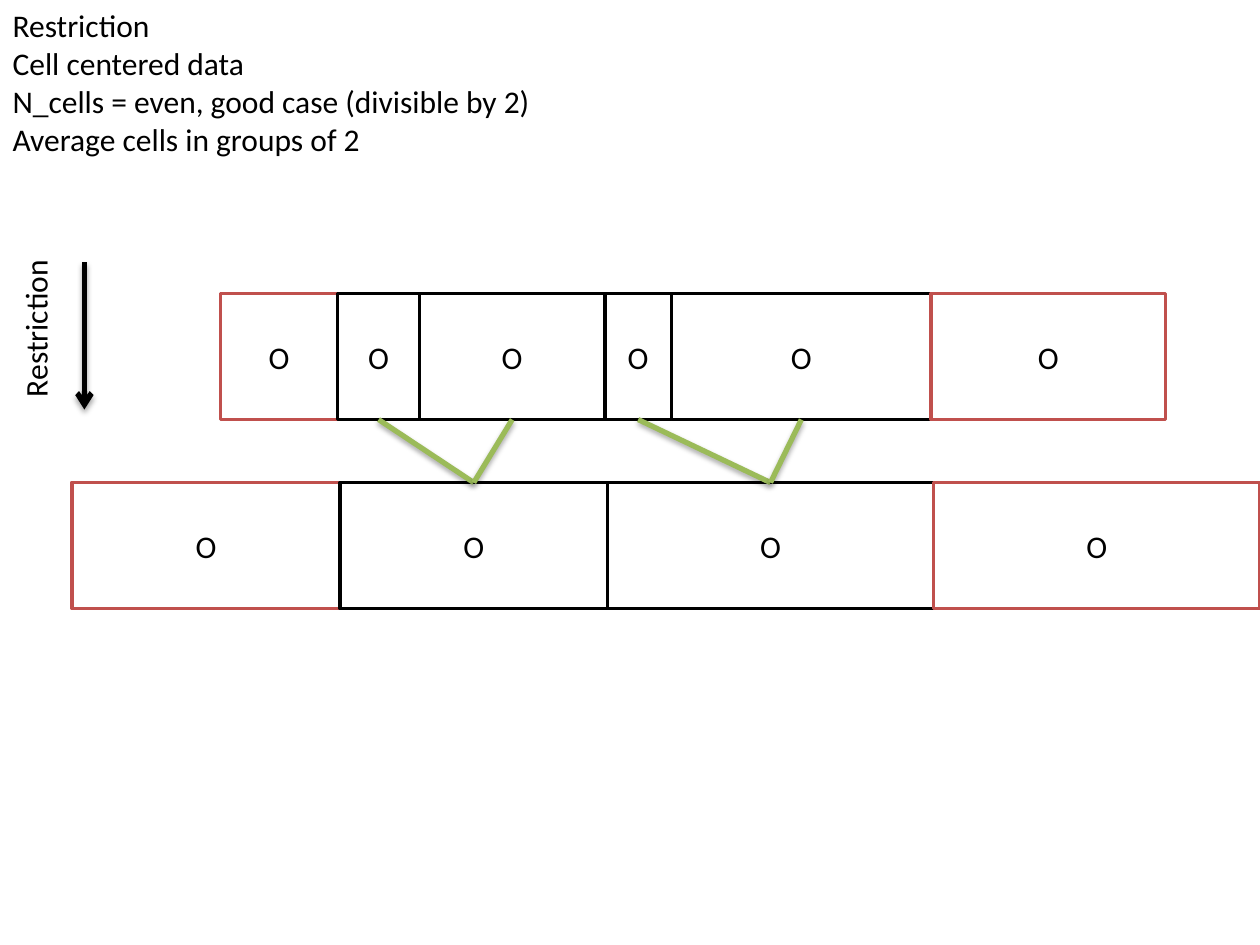
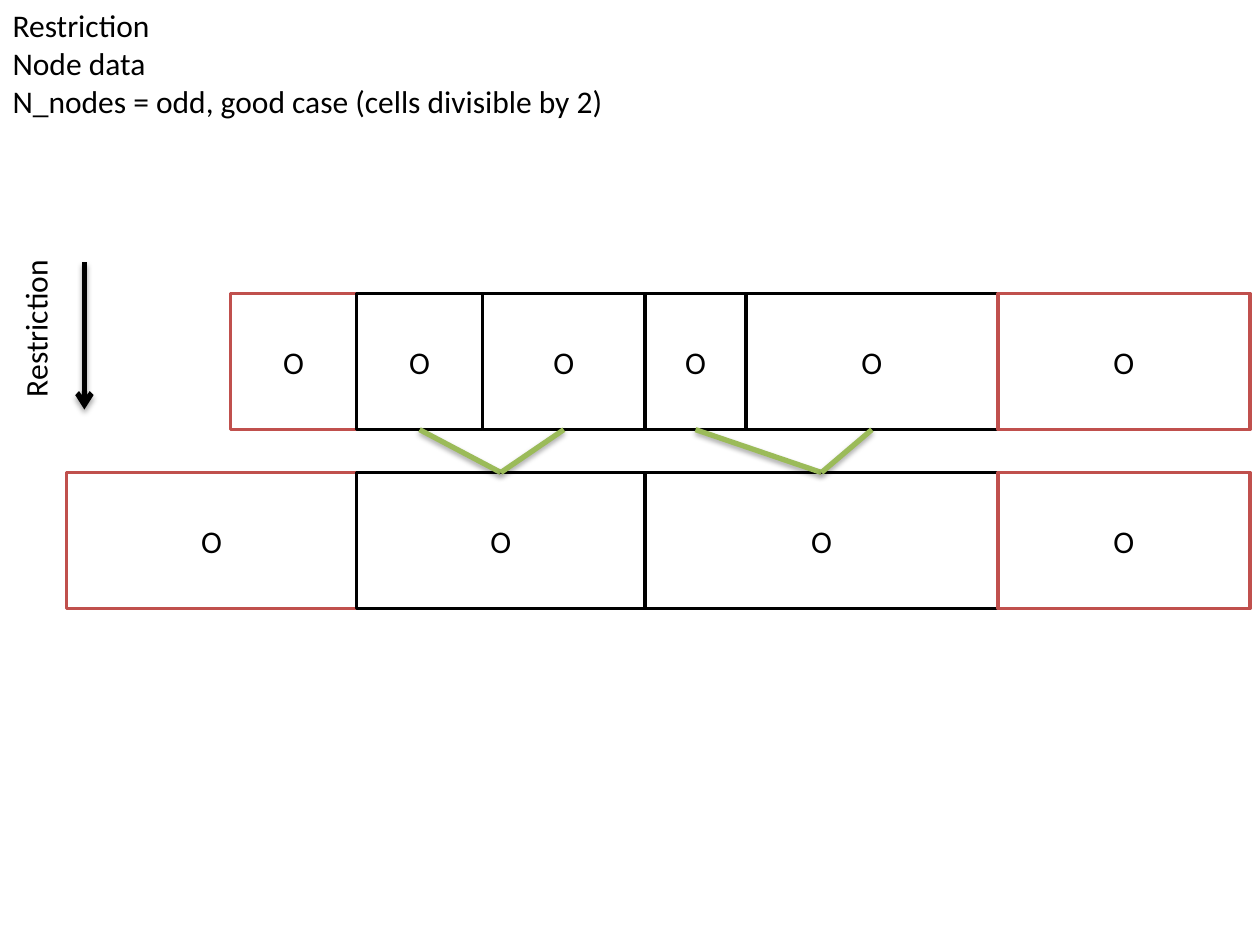
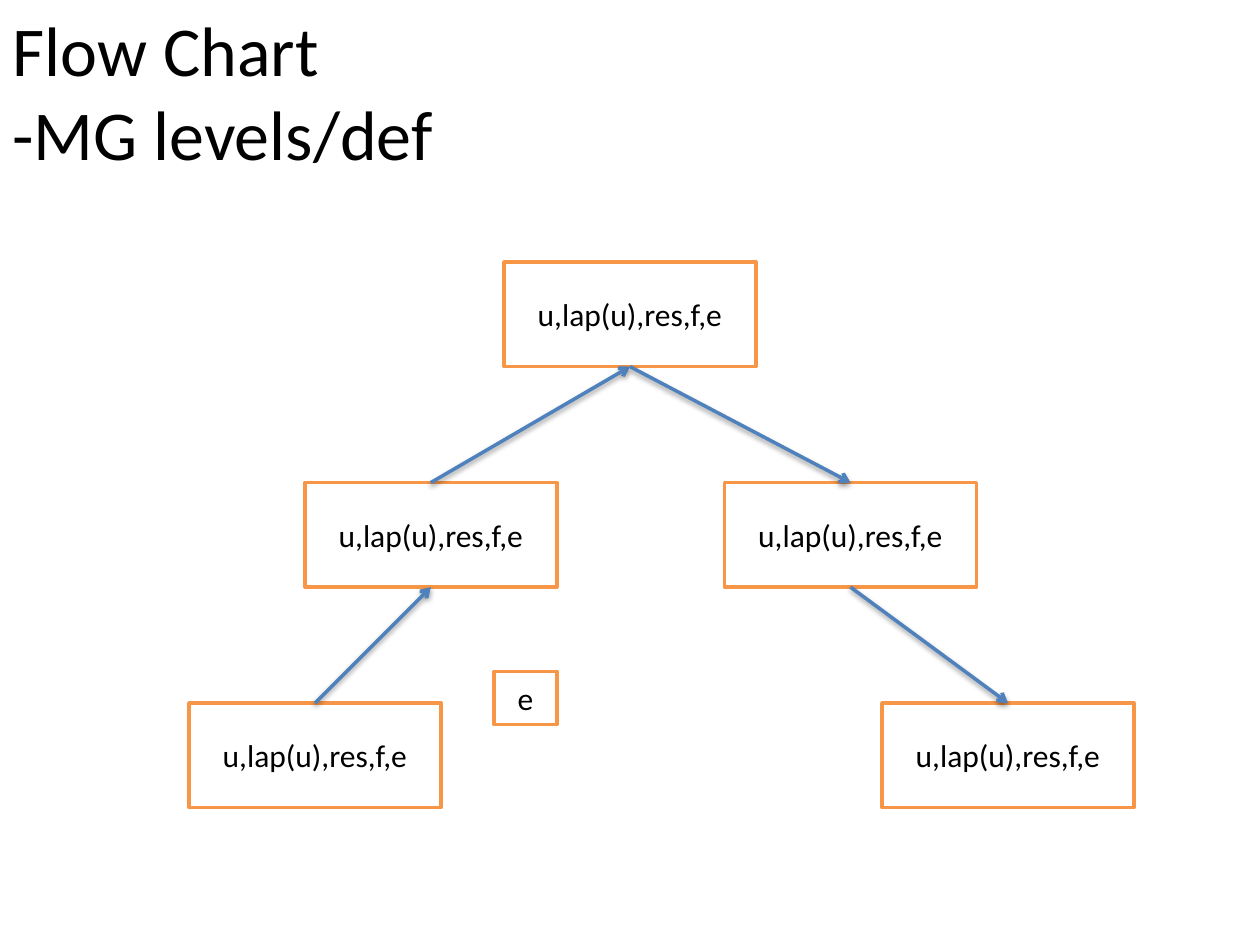
"""Builds three slides on multigrid restriction and its flow chart."""
import itertools
from dataclasses import dataclass

import pptx
import pptx.dml.color
import pptx.enum.shapes
import pptx.enum.text
import pptx.oxml
import pptx.util
from pptx.util import Inches

ANCHOR = pptx.enum.text.MSO_ANCHOR
ALIGN = pptx.enum.text.PP_ALIGN
TOP, BOTTOM = 0, 2  # connection sites of a rectangle
DRAWING_NAMESPACE = "http://schemas.openxmlformats.org/drawingml/2006/main"


@dataclass(frozen=True)
class Theme:
    """Colours, font and sizes in points shared by all slides."""
    font: str = "Calibri"
    ink: str = "000000"
    paper: str = "FFFFFF"
    ghost: str = "C0504D"
    average: str = "9BBB59"
    node: str = "F79646"
    flow: str = "4F81BD"
    text_size: int = 18
    heading_size: int = 40
    outline: int = 2
    heavy_line: int = 3


@dataclass(frozen=True)
class Box:
    """A region of a slide, in inches."""
    left: float
    top: float
    width: float
    height: float

    def lengths(self):
        """Return the four measures as slide lengths."""
        return [Inches(value) for value in
                (self.left, self.top, self.width, self.height)]


THEME = Theme()


def color(value):
    """Turn a hex string into a colour."""
    return pptx.dml.color.RGBColor.from_string(value)


def set_attributes(target, values):
    """Set each attribute named in a dict of format values."""
    for name, value in values.items():
        setattr(target, name, value)


def write_text(shape, lines, size=THEME.text_size, align=ALIGN.LEFT,
               anchor=ANCHOR.TOP, wrap=True):
    """Fill a shape with one paragraph for each line."""
    frame = shape.text_frame
    set_attributes(frame, {
        "text": "\n".join(lines), "word_wrap": wrap,
        "vertical_anchor": anchor,
        "auto_size": pptx.enum.text.MSO_AUTO_SIZE.NONE})
    for paragraph in frame.paragraphs:
        paragraph.alignment = align
        set_attributes(paragraph.font, {
            "name": THEME.font, "size": pptx.util.Pt(size)})
        paragraph.font.color.rgb = color(THEME.ink)


def add_title(slide, box, lines, size=THEME.text_size, wrap=False):
    """Place the title placeholder in the box and fill it."""
    title = slide.shapes.title
    set_attributes(title, dict(zip(("left", "top", "width", "height"),
                                   box.lengths())))
    write_text(title, lines, size, wrap=wrap)


def add_cell(slide, box, text, outline):
    """Add an outlined rectangle with centred text."""
    cell = slide.shapes.add_shape(
        pptx.enum.shapes.MSO_SHAPE.RECTANGLE, *box.lengths())
    cell.shadow.inherit = False
    cell.fill.solid()
    cell.fill.fore_color.rgb = color(THEME.paper)
    cell.line.color.rgb = color(outline)
    cell.line.width = pptx.util.Pt(THEME.outline)
    write_text(cell, [text], align=ALIGN.CENTER, anchor=ANCHOR.MIDDLE)
    return cell


def add_line(slide, line_color, width, points=(0, 0, 0, 0), arrow=False,
             opacity=35, distance=1.8):
    """Add a straight line with a soft shadow and, if asked, an arrowhead."""
    line = slide.shapes.add_connector(
        pptx.enum.shapes.MSO_CONNECTOR.STRAIGHT,
        *[Inches(value) for value in points])
    line.line.color.rgb = color(line_color)
    line.line.width = pptx.util.Pt(width)
    if arrow:
        line.line._get_or_add_ln().append(pptx.oxml.parse_xml(
            f'<a:tailEnd xmlns:a="{DRAWING_NAMESPACE}" type="arrow"/>'))
    line._element.spPr.append(pptx.oxml.parse_xml(
        f'<a:effectLst xmlns:a="{DRAWING_NAMESPACE}">'
        f'<a:outerShdw blurRad="{pptx.util.Pt(3.1)}" '
        f'dist="{pptx.util.Pt(distance)}" dir="5400000" rotWithShape="0">'
        f'<a:srgbClr val="{THEME.ink}"><a:alpha val="{opacity * 1000}"/>'
        '</a:srgbClr></a:outerShdw></a:effectLst>'))
    return line


def join(line, start, start_site, end, end_site):
    """Attach both ends of a line to shapes."""
    line.begin_connect(start, start_site)
    line.end_connect(end, end_site)


def add_cell_row(slide, edges, top, height):
    """Add cells between the edges; the two outermost are ghost cells."""
    last = len(edges) - 2
    return [add_cell(slide, Box(left, top, right - left, height), "O",
                     THEME.ghost if index in (0, last) else THEME.ink)
            for index, (left, right) in enumerate(itertools.pairwise(edges))]


def add_direction(slide, box):
    """Add the upward-reading label with a down arrow at the right edge."""
    width, height = 1.3, 0.4
    label = slide.shapes.add_textbox(*Box(
        box.left + (height - width) / 2, box.top + (1.04 - height) / 2,
        width, height).lengths())
    label.rotation = 270
    write_text(label, ["Restriction"], wrap=False)
    right = box.left + box.width
    add_line(slide, THEME.ink, THEME.heavy_line,
             (right, box.top, right, box.top + box.height), arrow=True)


def add_restriction(slide, box, fine_edges, coarse_edges, row_height):
    """Add a fine row above a coarse row and link each pair to its average."""
    fine = add_cell_row(slide, fine_edges, box.top, row_height)
    coarse = add_cell_row(slide, coarse_edges,
                          box.top + box.height - row_height, row_height)
    for index, source in enumerate(fine[1:-1]):
        link = add_line(slide, THEME.average, THEME.heavy_line)
        join(link, source, BOTTOM, coarse[1 + index // 2], TOP)


def add_flow_chart(slide, box):
    """Add the level boxes, the arrows between them and the error box."""
    width, height = 2, 0.83
    places = [(0, 3.5), (0.92, 1.75), (2.5, 0), (4.25, 1.75), (5.5, 3.5)]
    levels = [add_cell(slide, Box(box.left + x, box.top + y, width, height),
                       "u,lap(u),res,f,e", THEME.node) for x, y in places]
    for index, (start, end) in enumerate(itertools.pairwise(levels)):
        sites = (TOP, BOTTOM) if index < 2 else (BOTTOM, TOP)
        arrow = add_line(slide, THEME.flow, THEME.outline, arrow=True,
                         opacity=38, distance=1.6)
        join(arrow, start, sites[0], end, sites[1])
    add_cell(slide, Box(box.left + 2.42, box.top + 3.25, 0.5, 0.42),
             "e", THEME.node)


def new_slide(presentation):
    """Add a slide that has only a title."""
    return presentation.slides.add_slide(presentation.slide_layouts[5])


def restriction_slide(presentation, title_box, lines, grid):
    """Build a slide that shows one restriction case."""
    slide = new_slide(presentation)
    add_title(slide, title_box, lines)
    add_direction(slide, Box(0.08, 2.08, 0.59, 1.17))
    add_restriction(slide, Box(0, 2.33, 10, 2.5), **grid)


def flow_chart_slide(presentation):
    """Build the slide with the chart of multigrid levels."""
    slide = new_slide(presentation)
    add_title(slide, Box(0, 0, 3.67, 1.45),
              ["Flow Chart", "-MG levels/def"], THEME.heading_size, wrap=True)
    add_flow_chart(slide, Box(1.5, 2.08, 7.5, 4.33))


def main():
    """Build and save the presentation."""
    presentation = pptx.Presentation()
    set_attributes(presentation, {"slide_width": Inches(10),
                                  "slide_height": Inches(7.5)})
    restriction_slide(
        presentation, Box(0, 0, 4.42, 1.31),
        ["Restriction", "Cell centered data",
         "N_cells = even, good case (divisible by 2)",
         "Average cells in groups of 2"],
        {"fine_edges": (1.75, 2.68, 3.33, 4.8, 5.33, 7.39, 9.25),
         "coarse_edges": (0.57, 2.7, 4.82, 7.41, 10), "row_height": 1})
    restriction_slide(
        presentation, Box(0, 0, 5.07, 1.01),
        ["Restriction", "Node data",
         "N_nodes = odd, good case (cells divisible by 2)"],
        {"fine_edges": (1.83, 2.83, 3.83, 5.12, 5.92, 7.92, 9.92),
         "coarse_edges": (0.53, 2.83, 5.12, 7.92, 9.92), "row_height": 1.08})
    flow_chart_slide(presentation)
    presentation.save("out.pptx")


main()
